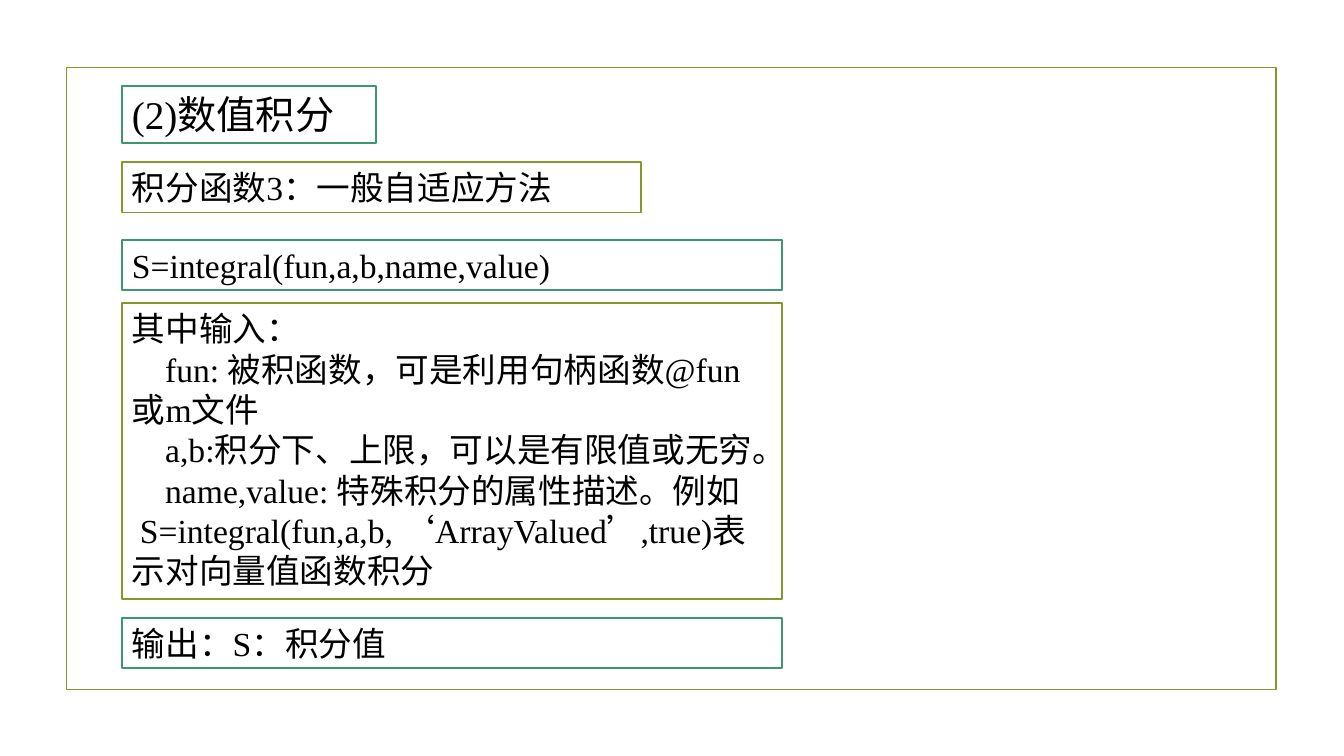
from pptx import Presentation
from pptx.dml.color import RGBColor
from pptx.enum.lang import MSO_LANGUAGE_ID
from pptx.enum.shapes import MSO_SHAPE
from pptx.enum.text import MSO_ANCHOR, MSO_AUTO_SIZE, PP_ALIGN
from pptx.util import Inches, Pt

RECT = MSO_SHAPE.RECTANGLE
LEFT = PP_ALIGN.LEFT
TOP = MSO_ANCHOR.TOP
GROW = MSO_AUTO_SIZE.SHAPE_TO_FIT_TEXT
CHINESE = MSO_LANGUAGE_ID.SIMPLIFIED_CHINESE
OLIVE = RGBColor(0x83, 0x99, 0x2A)
GREEN = RGBColor(0x3C, 0x97, 0x70)
WHITE = RGBColor(0xFF, 0xFF, 0xFF)
BLACK = RGBColor(0, 0, 0)
FONT = "Times New Roman"

deck = Presentation()
deck.slide_width = Inches(13.33)
deck.slide_height = Inches(7.5)
slide = deck.slides.add_slide(deck.slide_layouts[6])


def add_box(left, top, width, height, color):
    box = slide.shapes.add_shape(
        RECT, Inches(left), Inches(top), Inches(width), Inches(height))
    box.shadow.inherit = False
    box.fill.solid()
    box.fill.fore_color.rgb = WHITE
    box.line.color.rgb = color
    box.line.width = Pt(1.25)
    return box


frame = add_box(0.66, 0.67, 12, 6.17, OLIVE)
frame.fill.background()

inputs = [
    ("其中输入：", 0),
    ("fun: 被积函数，可是利用句柄函数@fun或m文件", 0.33),
    ("a,b:积分下、上限，可以是有限值或无穷。", 0.33),
    ("name,value: 特殊积分的属性描述。例如", 0.33),
    ("S=integral(fun,a,b, ‘ArrayValued’,true)表示对向量值函数积分", 0.08),
]
boxes = [
    (0.85, 2.52, 0.57, GREEN, 28, [("(2)数值积分", 0)]),
    (1.61, 5.15, 0.5, OLIVE, 24, [("积分函数3：一般自适应方法", 0)]),
    (2.38, 6.55, 0.5, GREEN, 24, [("S=integral(fun,a,b,name,value)", 0)]),
    (3.01, 6.55, 2.93, OLIVE, 24, inputs),
    (6.13, 6.55, 0.5, GREEN, 24, [("输出：S：积分值", 0)]),
]

for top, width, height, color, size, lines in boxes:
    body = add_box(1.21, top, width, height, color).text_frame
    body.word_wrap = True
    body.auto_size = GROW
    body.vertical_anchor = TOP
    body.text = "\n".join(text for text, indent in lines)
    for para, (text, indent) in zip(body.paragraphs, lines):
        para.alignment = LEFT
        if indent:
            props = para._p.get_or_add_pPr()
            props.set("marL", "0")
            props.set("indent", str(Inches(indent)))
        for run in para.runs:
            run.font.name = FONT
            run.font.size = Pt(size)
            run.font.color.rgb = BLACK
            run.font.language_id = CHINESE

deck.save("out.pptx")
